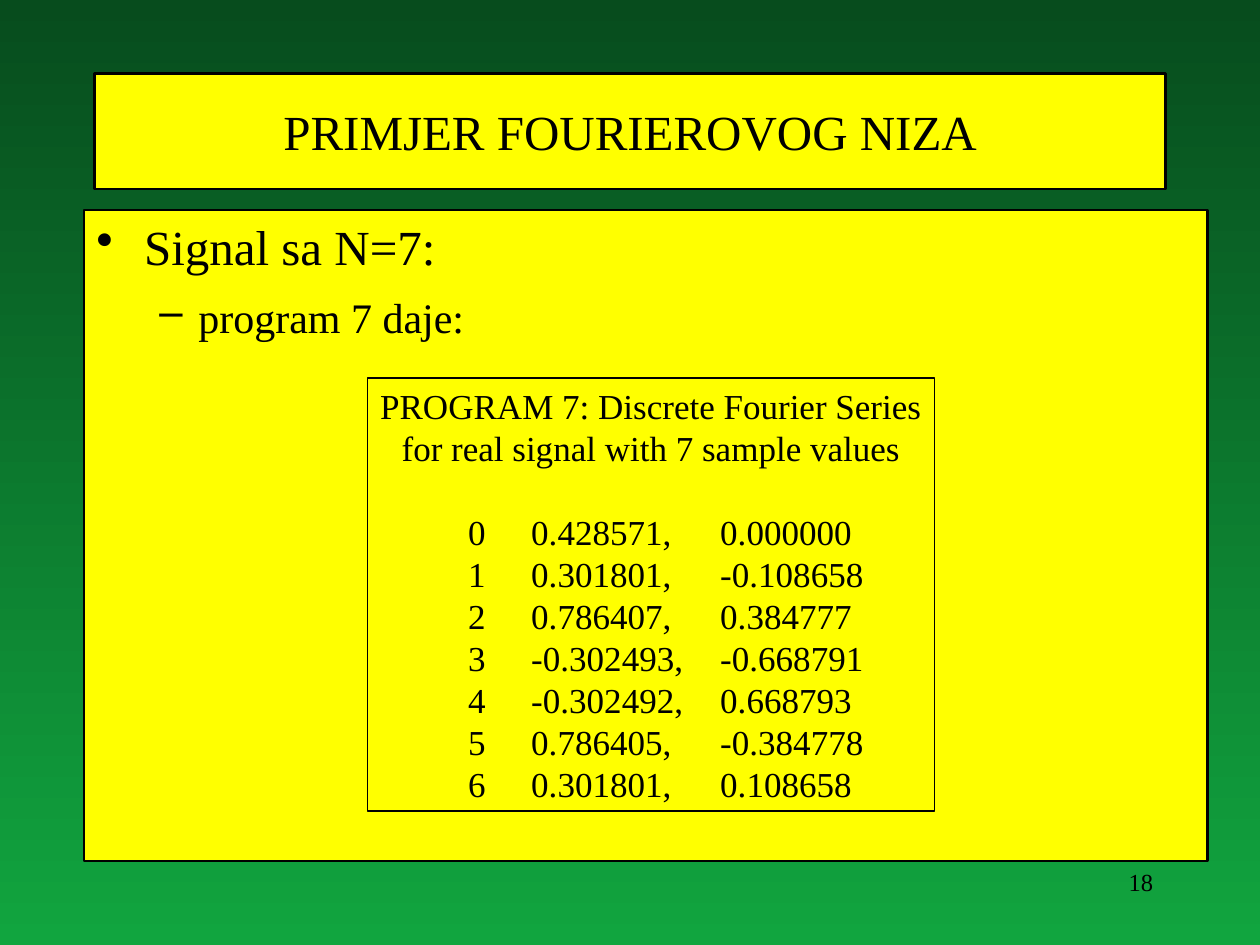
"""Build the slide showing a Fourier series example with seven samples."""
from dataclasses import dataclass
from typing import NamedTuple, Optional

from pptx import Presentation, util as u
from pptx.dml.color import RGBColor
from pptx.enum import shapes, text
from pptx.oxml import parse_xml
from pptx.oxml.ns import nsdecls

COLUMNS, ROWS = 120, 90
SLIDE_WIDTH, SLIDE_HEIGHT = u.Inches(10), u.Inches(7.5)


@dataclass(frozen=True)
class Theme:
    """Colours and type sizes of the slide."""
    font: str = "Times New Roman"
    ink: RGBColor = RGBColor(0, 0, 0)
    panel: RGBColor = RGBColor(0xFF, 0xFF, 0)
    top: RGBColor = RGBColor(0x07, 0x4C, 0x1D)
    bottom: RGBColor = RGBColor(0x11, 0xA5, 0x3F)
    heading: int = 28
    detail: int = 24
    listing: int = 20
    number: int = 14


class Area(NamedTuple):
    """Place on the slide grid, in columns and rows."""
    column: float
    row: float
    columns: float
    rows: float


class Bullet(NamedTuple):
    """Bulleted line with its level, indents in inches and spacing."""
    words: str
    mark: str
    level: int
    size: int
    margin: float
    hanging: float
    before: Optional[int]
    spacing: float


class Coefficient(NamedTuple):
    """One harmonic with its real and imaginary parts."""
    index: int
    real: float
    imaginary: float


THEME = Theme()
TITLE_AREA = Area(9, 7, 102, 11)
BODY_AREA = Area(8, 20, 107, 62)
LISTING_AREA = Area(35, 36, 54, 41.25)
NUMBER_AREA = Area(86, 82, 25, 6)
BULLETS = [
    Bullet("Signal sa N=7:", "•", 0, THEME.heading, 0.38, 0.38, None, 1),
    Bullet("program 7 daje:", "–", 1, THEME.detail, 0.81, 0.31, 15, 0.8),
]
CAPTIONS = ["PROGRAM 7: Discrete Fourier Series",
            "for real signal with 7 sample values"]
COEFFICIENTS = [
    Coefficient(0, 0.428571, 0.0),
    Coefficient(1, 0.301801, -0.108658),
    Coefficient(2, 0.786407, 0.384777),
    Coefficient(3, -0.302493, -0.668791),
    Coefficient(4, -0.302492, 0.668793),
    Coefficient(5, 0.786405, -0.384778),
    Coefficient(6, 0.301801, 0.108658),
]
LISTING_INDENT = 0.75
LISTING_TABS = (2.43, 3.63)
LISTING_PITCH = u.Pt(24)


def bounds(area: Area) -> tuple[int, int, int, int]:
    """Turn a grid area into slide lengths."""
    width, height = SLIDE_WIDTH / COLUMNS, SLIDE_HEIGHT / ROWS
    return (round(area.column * width), round(area.row * height),
            round(area.columns * width), round(area.rows * height))


def style_panel(shape, line_width: float, filled: bool = True) -> None:
    """Give a shape its fill and outline."""
    if filled:
        shape.fill.solid()
        shape.fill.fore_color.rgb = THEME.panel
    else:
        shape.fill.background()
    shape.line.color.rgb = THEME.ink
    shape.line.width = u.Pt(line_width)


def add_panel(slide, area: Area, line_width: float, filled: bool = True):
    """Add an outlined rectangle and return its text frame."""
    shape = slide.shapes.add_shape(shapes.MSO_SHAPE.RECTANGLE, *bounds(area))
    shape.shadow.inherit = False
    style_panel(shape, line_width, filled)
    frame = shape.text_frame
    frame.word_wrap = True
    frame.vertical_anchor = text.MSO_ANCHOR.TOP
    return frame


def add_run(paragraph, words: str, size: int) -> None:
    """Add one run in the theme font and ink."""
    run = paragraph.add_run()
    run.text = words
    run.font.name = THEME.font
    run.font.size = u.Pt(size)
    run.font.color.rgb = THEME.ink


def next_paragraph(frame, position: int):
    """Return the first paragraph or a new one."""
    return frame.add_paragraph() if position else frame.paragraphs[0]


def paint_background(slide) -> None:
    """Fill the background with a vertical gradient."""
    fill = slide.background.fill
    fill.gradient()
    fill.gradient_angle = 270
    for stop, colour in zip(fill.gradient_stops, (THEME.top, THEME.bottom)):
        stop.color.rgb = colour


def format_title(slide, words: str) -> None:
    """Place and fill the title placeholder."""
    title = slide.shapes.title
    title.left, title.top, title.width, title.height = bounds(TITLE_AREA)
    style_panel(title, 1.5)
    frame = title.text_frame
    frame.vertical_anchor = text.MSO_ANCHOR.MIDDLE
    paragraph = frame.paragraphs[0]
    paragraph.alignment = text.PP_ALIGN.CENTER
    add_run(paragraph, words, THEME.heading)


def add_bullets(slide) -> None:
    """Add the body panel with its bulleted lines."""
    frame = add_panel(slide, BODY_AREA, 1.5)
    for position, bullet in enumerate(BULLETS):
        paragraph = next_paragraph(frame, position)
        paragraph.alignment = text.PP_ALIGN.LEFT
        paragraph.level = bullet.level
        paragraph.line_spacing = bullet.spacing
        if bullet.before:
            paragraph.space_before = u.Pt(bullet.before)
        properties = paragraph._p.get_or_add_pPr()
        properties.set("marL", str(u.Inches(bullet.margin)))
        properties.set("indent", str(-u.Inches(bullet.hanging)))
        properties.append(parse_xml(
            f'<a:buClr {nsdecls("a")}><a:srgbClr val="{THEME.ink}"/></a:buClr>'))
        properties.append(parse_xml(
            f'<a:buChar {nsdecls("a")} char="{bullet.mark}"/>'))
        add_run(paragraph, bullet.words, bullet.size)


def add_listing(slide) -> None:
    """Add the program output with its aligned coefficients."""
    frame = add_panel(slide, LISTING_AREA, 0.75, filled=False)
    frame.margin_left = frame.margin_right = u.Inches(0.05)
    for position, caption in enumerate(CAPTIONS):
        paragraph = next_paragraph(frame, position)
        paragraph.alignment = text.PP_ALIGN.CENTER
        paragraph.line_spacing = LISTING_PITCH
        add_run(paragraph, caption, THEME.listing)
    stops = "".join(f'<a:tab pos="{u.Inches(stop)}" algn="r"/>'
                    for stop in LISTING_TABS)
    for position, item in enumerate(COEFFICIENTS):
        paragraph = frame.add_paragraph()
        paragraph.alignment = text.PP_ALIGN.LEFT
        paragraph.line_spacing = LISTING_PITCH
        if position == 0:
            paragraph.space_before = LISTING_PITCH
        properties = paragraph._p.get_or_add_pPr()
        properties.set("marL", str(u.Inches(LISTING_INDENT)))
        properties.set("indent", "0")
        properties.append(parse_xml(
            f'<a:tabLst {nsdecls("a")}>{stops}</a:tabLst>'))
        add_run(paragraph, f"{item.index}\t{item.real:.6f},\t{item.imaginary:.6f}",
                THEME.listing)


def add_number(slide, words: str) -> None:
    """Add the slide number at the lower right."""
    frame = slide.shapes.add_textbox(*bounds(NUMBER_AREA)).text_frame
    frame.word_wrap = True
    paragraph = frame.paragraphs[0]
    paragraph.alignment = text.PP_ALIGN.RIGHT
    add_run(paragraph, words, THEME.number)


def main() -> None:
    """Build and save the presentation."""
    presentation = Presentation()
    presentation.slide_width, presentation.slide_height = SLIDE_WIDTH, SLIDE_HEIGHT
    slide = presentation.slides.add_slide(presentation.slide_layouts[5])
    paint_background(slide)
    format_title(slide, "PRIMJER FOURIEROVOG NIZA")
    add_bullets(slide)
    add_listing(slide)
    add_number(slide, "18")
    presentation.save("out.pptx")


if __name__ == "__main__":
    main()
